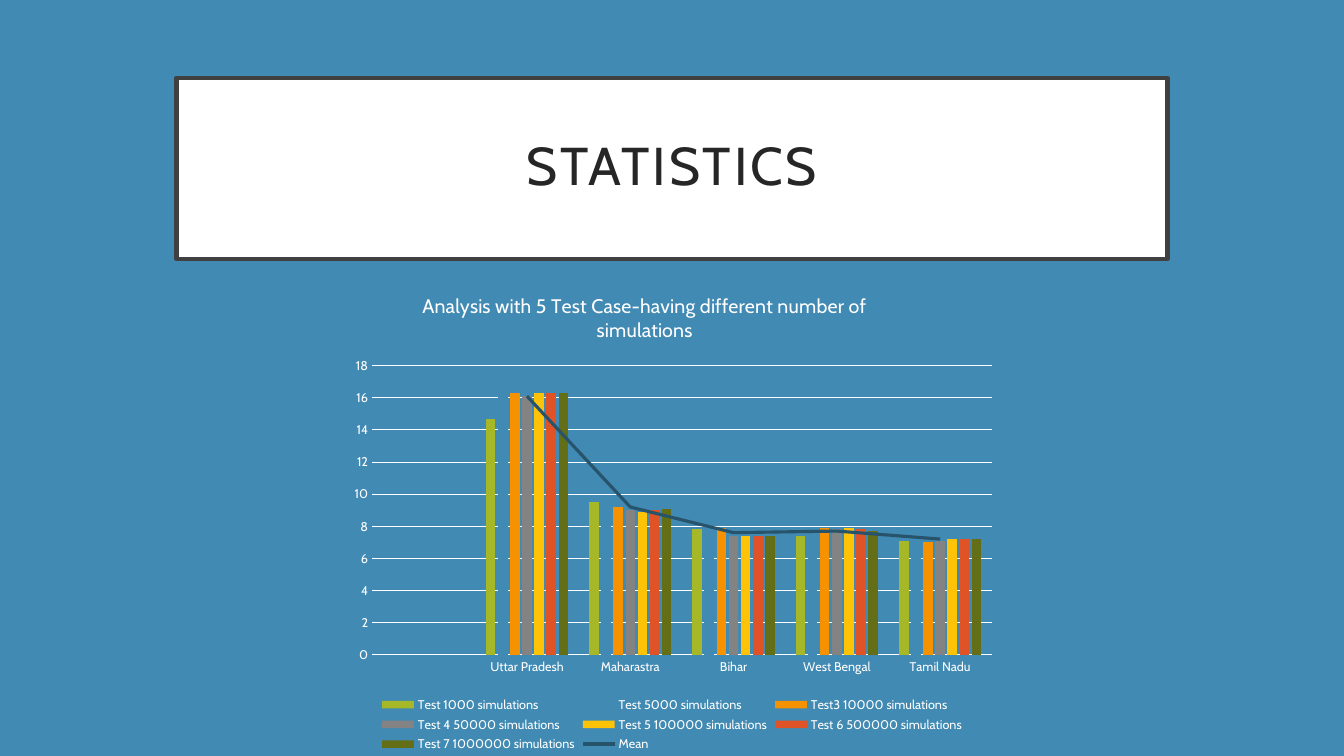
from lxml import etree
from pptx import Presentation
from pptx.chart.data import CategoryChartData
from pptx.dml.color import RGBColor
from pptx.enum.chart import XL_CHART_TYPE as ChartType, XL_LEGEND_POSITION as LegendPosition
from pptx.enum.chart import XL_MARKER_STYLE as MarkerStyle, XL_TICK_MARK as TickMark
from pptx.enum.text import MSO_ANCHOR, PP_ALIGN
from pptx.oxml import parse_xml
from pptx.oxml.ns import nsdecls, qn
from pptx.util import Inches, Pt

FONT = "Cabin"
BLUE = RGBColor(0x41, 0x8A, 0xB3)
WHITE = RGBColor(0xFF, 0xFF, 0xFF)
FRAME = RGBColor(0x40, 0x40, 0x40)
INK = RGBColor(0x26, 0x26, 0x26)
NAVY = RGBColor(0x27, 0x53, 0x6B)

HEADING = "STATISTICS"
CHART_TITLE = "Analysis with 5 Test Case-having different number of simulations"
STATES = ["", "Uttar Pradesh", "Maharastra", "Bihar", "West Bengal", "Tamil Nadu"]
TESTS = [
    ("Test 1000 simulations", RGBColor(0xA6, 0xB7, 0x27), (None, 14.7, 9.5, 7.8, 7.4, 7.1)),
    ("Test 5000 simulations", BLUE, (None, 16.4, 9.5, 8, 7.7, 7.3)),
    ("Test3 10000 simulations", RGBColor(0xF6, 0x92, 0x00), (None, 16.3, 9.2, 7.9, 7.9, 7)),
    ("Test 4 50000 simulations", RGBColor(0x83, 0x83, 0x83), (None, 16.1, 9, 7.4, 7.8, 7.1)),
    ("Test 5 100000 simulations", RGBColor(0xFE, 0xC3, 0x06), (None, 16.3, 8.9, 7.4, 7.9, 7.2)),
    ("Test 6 500000 simulations", RGBColor(0xDF, 0x53, 0x27), (None, 16.3, 9, 7.4, 7.8, 7.2)),
    ("Test 7 1000000 simulations", RGBColor(0x64, 0x6E, 0x17), (None, 16.3, 9.1, 7.4, 7.7, 7.2)),
]
MEAN = ("Mean", (None, 16.1, 9.2, 7.6, 7.7, 7.2))


def style_font(font, size, color=WHITE):
    font.name, font.size, font.bold = FONT, Pt(size), False
    font.color.rgb = color


def style_line(line, color, width):
    line.color.rgb = color
    line.width = Pt(width)


def manual_layout(target="", **fractions):
    """Layout element placing a chart part by fractions of the chart area."""
    inner = f'<c:layoutTarget val="{target}"/>' if target else ""
    modes = "".join(f'<c:{key}Mode val="edge"/>' for key in fractions if key in "xy")
    sizes = "".join(f'<c:{key} val="{value}"/>' for key, value in fractions.items())
    return parse_xml(f'<c:layout {nsdecls("c")}><c:manualLayout>{inner}{modes}{sizes}'
                     '</c:manualLayout></c:layout>')


def place(parent, layout, index):
    """Replace the layout of a chart part."""
    for old in parent.findall(qn("c:layout")):
        parent.remove(old)
    parent.insert(index, layout)


def move_last_series_to_line(chart):
    """Turn the last column series into a line on the same axes."""
    bars = chart.plots[0]._element
    series = bars.findall(qn("c:ser"))[-1]
    for flag in series.findall(qn("c:invertIfNegative")):
        series.remove(flag)
    lines = parse_xml(f'<c:lineChart {nsdecls("c")}><c:grouping val="standard"/>'
                      '<c:varyColors val="0"/><c:marker val="1"/></c:lineChart>')
    lines.insert(2, series)
    for axis in bars.findall(qn("c:axId")):
        etree.SubElement(lines, qn("c:axId")).set("val", axis.get("val"))
    bars.addnext(lines)


def add_heading(page):
    title = page.shapes.title
    title.left, title.top = Inches(1.75), Inches(0.77)
    title.width, title.height = Inches(9.83), Inches(1.8)
    title.fill.solid()
    title.fill.fore_color.rgb = WHITE
    style_line(title.line, FRAME, 3)
    frame = title.text_frame
    frame.text = HEADING
    frame.word_wrap = True
    frame.vertical_anchor = MSO_ANCHOR.MIDDLE
    frame.margin_left = frame.margin_right = Inches(0.3)
    frame.margin_top = frame.margin_bottom = Inches(0.2)
    para = frame.paragraphs[0]
    para.alignment, para.line_spacing = PP_ALIGN.CENTER, 0.9
    style_font(para.font, 38, INK)
    para.runs[0].font._element.set("spc", "200")


def add_statistics_chart(page):
    data = CategoryChartData()
    data.categories = STATES
    for name, _, values in TESTS:
        data.add_series(name, values)
    data.add_series(*MEAN)
    chart = page.shapes.add_chart(ChartType.COLUMN_CLUSTERED, Inches(3.36), Inches(2.72),
                                  Inches(6.61), Inches(4.78), data).chart
    style_font(chart.font, 10)
    move_last_series_to_line(chart)

    columns, lines = chart.plots
    columns.gap_width, columns.overlap, columns.vary_by_categories = 219, -27, False
    for series, (_, color, _) in zip(columns.series, TESTS):
        series.format.fill.solid()
        series.format.fill.fore_color.rgb = color
    mean = lines.series[0]
    style_line(mean.format.line, NAVY, 2.25)
    mean.marker.style = MarkerStyle.NONE
    mean.smooth = False

    for axis in (chart.category_axis, chart.value_axis):
        axis.major_tick_mark = axis.minor_tick_mark = TickMark.NONE
        style_font(axis.tick_labels.font, 9)
    style_line(chart.category_axis.format.line, WHITE, 0.75)
    scale = chart.value_axis
    scale.minimum_scale, scale.maximum_scale, scale.major_unit = 0, 18, 2
    scale.format.line.fill.background()
    style_line(scale.major_gridlines.format.line, WHITE, 0.75)

    chart.has_legend = True
    chart.legend.position = LegendPosition.BOTTOM
    chart.legend.include_in_layout = False
    style_font(chart.legend.font, 9)

    chart.has_title = True
    title = chart.chart_title
    title.text_frame.text = CHART_TITLE
    style_font(title.text_frame.paragraphs[0].font, 14)
    place(title._element, manual_layout(x=0.12, y=0.03), 1)
    place(columns._element.getparent(),
          manual_layout("inner", x=0.05, y=0.19, w=0.93, h=0.6), 0)


def main():
    deck = Presentation()
    deck.slide_width, deck.slide_height = Inches(13.33), Inches(7.5)
    page = deck.slides.add_slide(deck.slide_layouts[0])
    page.background.fill.solid()
    page.background.fill.fore_color.rgb = BLUE
    subtitle = page.placeholders[1]._element
    subtitle.getparent().remove(subtitle)
    add_heading(page)
    add_statistics_chart(page)
    deck.save("out.pptx")


if __name__ == "__main__":
    main()
